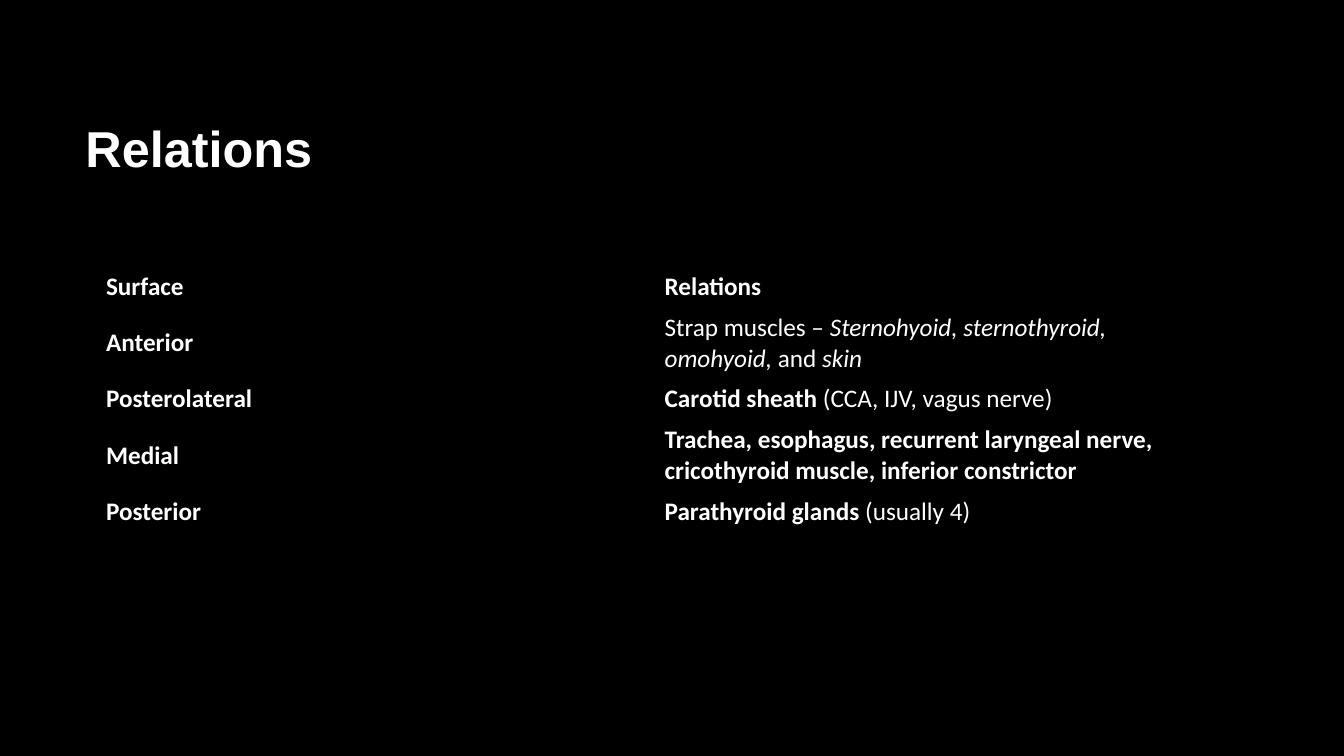
import pptx
import pptx.util
import pptx.dml.color
import pptx.enum.text
from dataclasses import dataclass

Cm = pptx.util.Cm
Pt = pptx.util.Pt
RGB = pptx.dml.color.RGBColor
MIDDLE = pptx.enum.text.MSO_ANCHOR.MIDDLE

TITLE = "Relations"
PLAIN, BOLD, ITALIC = {"bold": False}, {"bold": True}, {"bold": False, "italic": True}
ROWS = [
    ("Surface", [("Relations", BOLD)]),
    ("Anterior", [
        ("Strap muscles – ", PLAIN),
        ("Sternohyoid, sternothyroid, omohyoid,", ITALIC),
        (" and ", PLAIN),
        ("skin", ITALIC),
    ]),
    ("Posterolateral", [("Carotid sheath", BOLD), (" (CCA, IJV, vagus nerve)", PLAIN)]),
    ("Medial", [
        ("Trachea, esophagus, recurrent laryngeal nerve, "
         "cricothyroid muscle, inferior constrictor", BOLD),
    ]),
    ("Posterior", [("Parathyroid glands", BOLD), (" (usually 4)", PLAIN)]),
]
ONE_LINE, TWO_LINES = Cm(1.03), Cm(1.8)
LINE_LIMIT = 50
NO_STYLE_NO_GRID = "{2D5ABB26-0587-4C30-8999-92F81FD0307C}"


@dataclass
class Theme:
    background: RGB = RGB(0, 0, 0)
    text: RGB = RGB(255, 255, 255)
    title_font: str = "Arial"
    body_font: str = "Calibri"
    title_size: Pt = Pt(36)
    body_size: Pt = Pt(18)


theme = Theme()


def add_run(p, text, name, size, style):
    r = p.add_run()
    r.text = text
    r.font.color.rgb = theme.text
    for key, value in {"name": name, "size": size, **style}.items():
        setattr(r.font, key, value)


def add_title(s):
    sp = s.shapes.title
    box = {"left": Cm(1.9), "top": Cm(1.7), "width": Cm(28.15), "height": Cm(4.04)}
    for key, value in box.items():
        setattr(sp, key, value)
    tf = sp.text_frame
    tf.vertical_anchor = MIDDLE
    p = tf.paragraphs[0]
    p.alignment = pptx.enum.text.PP_ALIGN.LEFT
    add_run(p, TITLE, theme.title_font, theme.title_size, BOLD)


def add_relations(s):
    heights = [
        TWO_LINES if sum(len(text) for text, _ in runs) > LINE_LIMIT else ONE_LINE
        for _, runs in ROWS
    ]
    frame = s.shapes.add_table(
        len(ROWS), 2, Cm(2.42), Cm(6.71), Cm(28.15), sum(heights))
    table = frame.table
    table.first_row = table.horz_banding = False
    style_id = table._tbl.tblPr.find(pptx.oxml.ns.qn("a:tableStyleId"))
    style_id.text = NO_STYLE_NO_GRID
    for row, height, (surface, runs) in zip(table.rows, heights, ROWS):
        row.height = height
        for cell, content in zip(row.cells, ([(surface, BOLD)], runs)):
            cell.fill.background()
            cell.vertical_anchor = MIDDLE
            for text, style in content:
                add_run(cell.text_frame.paragraphs[0], text,
                        theme.body_font, theme.body_size, style)


def main():
    prs = pptx.Presentation()
    prs.slide_width, prs.slide_height = Cm(33.87), Cm(19.05)
    s = prs.slides.add_slide(prs.slide_layouts[5])
    s.background.fill.solid()
    s.background.fill.fore_color.rgb = theme.background
    add_title(s)
    add_relations(s)
    prs.save("out.pptx")


if __name__ == "__main__":
    main()
